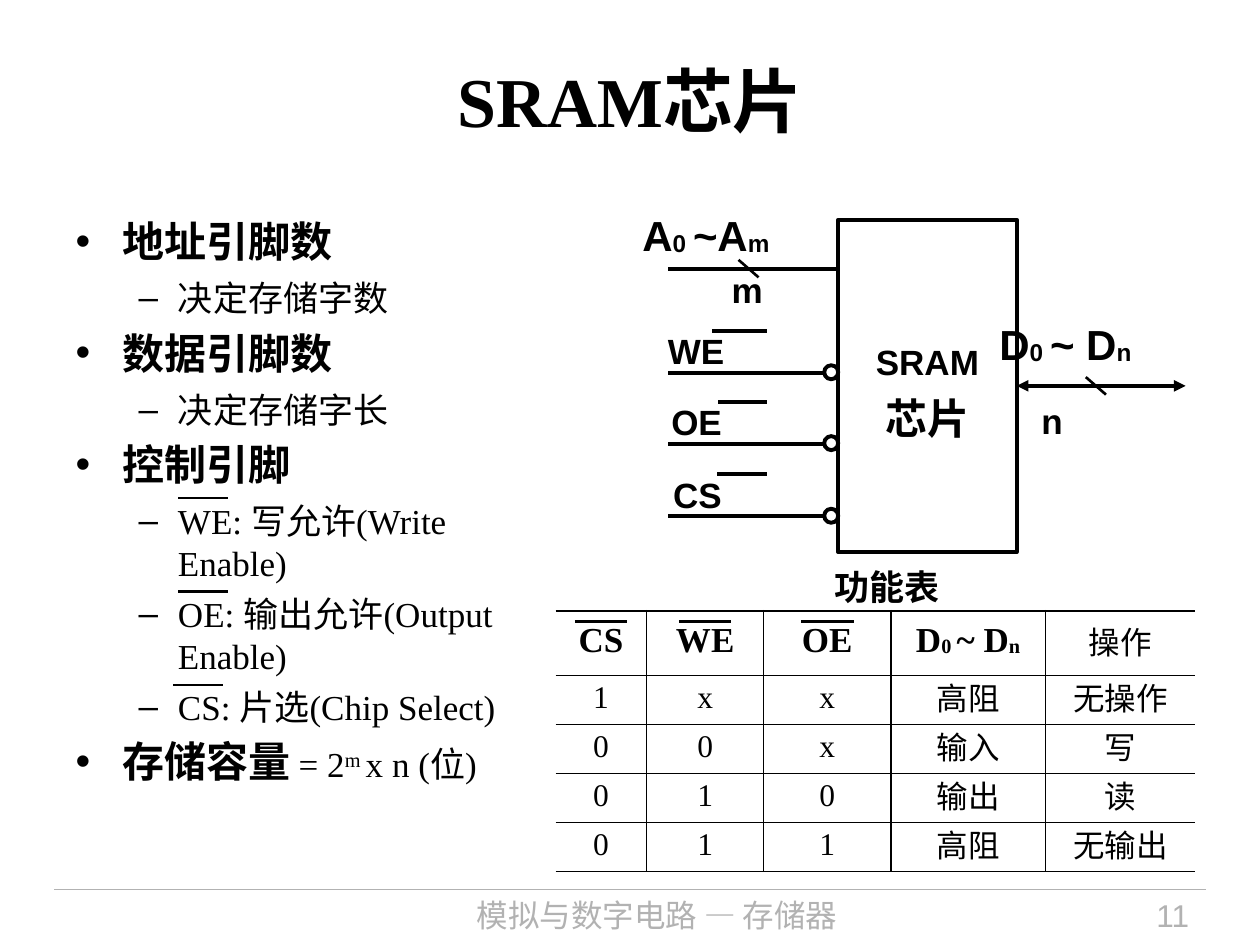
"""Build the SRAM chip slide: pin notes, chip diagram and function table."""
from pptx import Presentation
from pptx.dml.color import RGBColor
from pptx.enum.shapes import MSO_CONNECTOR, MSO_SHAPE
from pptx.enum.text import MSO_ANCHOR, MSO_AUTO_SIZE, PP_ALIGN
from pptx.oxml.xmlchemy import OxmlElement
from pptx.util import Pt

LEFT, CENTER, RIGHT = PP_ALIGN.LEFT, PP_ALIGN.CENTER, PP_ALIGN.RIGHT
MIDDLE = MSO_ANCHOR.MIDDLE
RECT, OVAL = MSO_SHAPE.RECTANGLE, MSO_SHAPE.OVAL
STRAIGHT = MSO_CONNECTOR.STRAIGHT
NO_FIT = MSO_AUTO_SIZE.NONE

THEME = {
    "ink": "000000", "muted": "B2B2B2", "paper": "FFFFFF",
    "serif": "Times New Roman", "sans": "Arial", "cjk": "Noto Sans CJK SC",
    "title": 40, "large": 24, "medium": 20, "small": 18,
    "wire": 2.25, "bar": 1.5, "rule": 0.75, "grid": 0.45, "frame": 1.08,
}
SUB, SUPER = -2000, 30000

TITLE = "SRAM芯片"
NOTES = [
    (0, [("地址引脚数",)]),
    (1, [("决定存储字数",)]),
    (0, [("数据引脚数",)]),
    (1, [("决定存储字长",)]),
    (0, [("控制引脚",)]),
    (1, [("WE: 写允许(Write Enable)",)]),
    (1, [("OE: 输出允许(Output Enable)",)]),
    (1, [("CS: 片选(Chip Select)",)]),
    (0, [("存储容量",), (" = 2", 0, "medium", False),
         ("m ", SUPER, "medium", False), ("x n (位)", 0, "medium", False)]),
]
NOTE_LEVELS = [
    {"bullet": "•", "margin": 27, "hang": 27, "after": 6, "size": "large", "bold": True},
    {"bullet": "–", "margin": 58.5, "hang": 22.5, "after": 5, "size": "medium", "bold": False},
]
NOTE_BARS = [(102, 284.5), (102, 338), (99, 391.5)]

DATA_PINS = [("D",), ("0 ", SUB), ("~ D",), ("n", SUB)]
ADDRESS_PINS = [("A",), ("0 ", SUB), ("~A",), ("m", SUB)]
LABELS = [
    (ADDRESS_PINS, (360, 116, 141, 36), "large", LEFT),
    (DATA_PINS, (564, 178.5, 144, 36), "large", LEFT),
    ([("m",)], (411, 150, 36, 32), "medium", LEFT),
    ([("n",)], (588, 224.5, 81, 32), "medium", LEFT),
    ([("功能表",)], (467, 319.5, 80, 32), "medium", CENTER),
]
CHIP = (479, 125.5, 102, 190)
CHIP_LABEL = (484.5, 191, 91, 66)
CHIP_LINES = [("SRAM", "medium"), ("芯片", "large")]
CONTROL_PINS = [("WE", 213, 374.5, 407), ("OE", 253.5, 376.5, 410.5), ("CS", 295, 377.5, 410)]
WIRE_START, PIN_BAR_END, BUBBLE = 382, 438.5, 8
ADDRESS_Y, DATA_END = 153.5, 677.5

HEADER = [[("CS",)], [("WE",)], [("OE",)], DATA_PINS, [("操作",)]]
ROWS = ["1 x x 高阻 无操作", "0 0 x 输入 写", "0 1 0 输出 读", "0 1 1 高阻 无输出"]
TABLE_LEFT, TABLE_TOP = 317.5, 349
COLUMNS, ROW_HEIGHTS = [52, 67, 72.5, 88.5, 85.5], [37, 28, 28, 28, 28]
COLUMN_EDGES = [None, "grid", "grid", "frame", "frame", None]
ROW_EDGES = ["frame", "frame", "grid", "grid", "grid", "frame"]
HEADER_BAR_WIDTH, HEADER_BAR_Y = 30, 355

FOOTER = [("模拟与数字电路 — 存储器", (173, 508.5, 405, 32), "cjk", CENTER),
          ("11", (590.5, 508.5, 96, 32), "sans", RIGHT)]


def color(name):
    return RGBColor.from_string(THEME[name])


def element(parent, tag, **attributes):
    child = OxmlElement(tag)
    for key, value in attributes.items():
        child.set(key, str(value))
    parent.append(child)
    return child


def add_runs(paragraph, runs, size, bold, face, ink="ink"):
    for text, *options in runs:
        baseline, run_size, run_bold = options + [0, size, bold][len(options):]
        run = paragraph.add_run()
        run.text = text
        font = run.font
        font.size, font.bold, font.name = Pt(THEME[run_size]), run_bold, THEME[face]
        font.color.rgb = color(ink)
        properties = run._r.get_or_add_rPr()
        element(properties, "a:ea", typeface=THEME["cjk"])
        if baseline:
            properties.set("baseline", str(baseline))


def place(shape, box):
    shape.left, shape.top, shape.width, shape.height = map(Pt, box)


def add_label(slide, box, lines, align=LEFT, bold=True, face="sans", ink="ink"):
    frame = slide.shapes.add_textbox(*map(Pt, box)).text_frame
    frame.word_wrap = True
    for index, (runs, size) in enumerate(lines):
        paragraph = frame.add_paragraph() if index else frame.paragraphs[0]
        paragraph.alignment = align
        paragraph.space_before = Pt(6 if index else 0)
        add_runs(paragraph, runs, size, bold, face, ink)


def add_line(slide, start, end, width="wire", ink="ink"):
    line = slide.shapes.add_connector(STRAIGHT, *map(Pt, start + end))
    line.line.color.rgb = color(ink)
    line.line.width = Pt(THEME[width])
    element(line._element.spPr, "a:effectLst")
    return line


def add_outline(slide, kind, box):
    shape = slide.shapes.add_shape(kind, *map(Pt, box))
    shape.shadow.inherit = False
    shape.line.color.rgb = color("ink")
    shape.line.width = Pt(THEME["wire"])
    return shape


def add_slash(slide, x, y):
    add_line(slide, (x - 5.75, y - 5), (x + 5.75, y + 5), "bar")


def add_notes(body):
    place(body, (36, 119.5, 278, 383))
    frame = body.text_frame
    frame.auto_size = NO_FIT
    for index, (depth, runs) in enumerate(NOTES):
        style = NOTE_LEVELS[depth]
        paragraph = frame.add_paragraph() if index else frame.paragraphs[0]
        paragraph.level = depth
        properties = paragraph._p.get_or_add_pPr()
        properties.set("marL", str(Pt(style["margin"])))
        properties.set("indent", str(-Pt(style["hang"])))
        element(element(properties, "a:buClr"), "a:srgbClr", val=THEME["ink"])
        element(properties, "a:buChar", char=style["bullet"])
        paragraph.space_before, paragraph.space_after = Pt(0), Pt(style["after"])
        add_runs(paragraph, runs, style["size"], style["bold"], "serif")


def add_diagram(slide):
    add_label(slide, CHIP_LABEL, [([(text,)], size) for text, size in CHIP_LINES], CENTER)
    chip = add_outline(slide, RECT, CHIP)
    chip.fill.background()
    left, top, width, height = CHIP
    add_line(slide, (WIRE_START, ADDRESS_Y), (left, ADDRESS_Y))
    add_slash(slide, 427.75, ADDRESS_Y)
    data_y = top + height / 2
    data_bus = add_line(slide, (left + width, data_y), (DATA_END, data_y))
    data_bus.begin_connect(chip, 3)
    for tag in ("a:headEnd", "a:tailEnd"):
        element(data_bus.line._get_or_add_ln(), tag, type="triangle")
    add_slash(slide, 626.25, data_y)
    for runs, box, size, align in LABELS:
        add_label(slide, box, [(runs, size)], align)
    for name, y, label_x, bar_x in CONTROL_PINS:
        add_line(slide, (WIRE_START, y), (left, y))
        add_label(slide, (label_x, y - 28.25, 98, 32), [([(name,)], "medium")])
        add_line(slide, (bar_x, y - 24), (PIN_BAR_END, y - 24))
        bubble = add_outline(slide, OVAL, (left - BUBBLE, y - 4.25, BUBBLE, BUBBLE))
        bubble.fill.solid()
        bubble.fill.fore_color.rgb = color("paper")


def set_border(cell, tag, weight):
    properties = cell._tc.get_or_add_tcPr()
    if weight is None:
        element(element(properties, tag, w=0), "a:noFill")
        return
    border = element(properties, tag, w=Pt(THEME[weight]))
    element(element(border, "a:solidFill"), "a:srgbClr", val=THEME["ink"])


def add_function_table(slide):
    grid = [HEADER] + [[[(text,)] for text in row.split()] for row in ROWS]
    box = (TABLE_LEFT, TABLE_TOP, sum(COLUMNS), sum(ROW_HEIGHTS))
    table = slide.shapes.add_table(len(grid), len(COLUMNS), *map(Pt, box)).table
    table.first_row = table.horz_banding = False
    for column, width in zip(table.columns, COLUMNS):
        column.width = Pt(width)
    for r, cells in enumerate(grid):
        table.rows[r].height = Pt(ROW_HEIGHTS[r])
        for c, runs in enumerate(cells):
            pin_heading = r == 0 and c < len(COLUMNS) - 1
            cell = table.cell(r, c)
            edges = (COLUMN_EDGES[c], COLUMN_EDGES[c + 1], ROW_EDGES[r], ROW_EDGES[r + 1])
            for tag, weight in zip(("a:lnL", "a:lnR", "a:lnT", "a:lnB"), edges):
                set_border(cell, tag, weight)
            cell.fill.background()
            cell.vertical_anchor = MIDDLE
            paragraph = cell.text_frame.paragraphs[0]
            paragraph.alignment, paragraph.line_spacing = CENTER, 0.8
            paragraph.space_after = Pt(5 if pin_heading else 4.5)
            add_runs(paragraph, runs, "medium" if pin_heading else "small", pin_heading, "serif")
    for c in range(3):
        bar_x = TABLE_LEFT + sum(COLUMNS[:c]) + (COLUMNS[c] - HEADER_BAR_WIDTH) / 2
        add_line(slide, (bar_x, HEADER_BAR_Y), (bar_x + HEADER_BAR_WIDTH, HEADER_BAR_Y), "bar")


def main():
    deck = Presentation()
    deck.slide_width, deck.slide_height = Pt(720), Pt(540)
    slide = deck.slides.add_slide(deck.slide_layouts[1])
    add_line(slide, (31, 508.5), (689, 508.5), "rule", "muted")
    for text, box, face, align in FOOTER:
        add_label(slide, box, [([(text,)], "small")], align, False, face, "muted")
    title, body = slide.placeholders
    place(title, (36, 26.5, 648, 61))
    title.text_frame.auto_size, title.text_frame.vertical_anchor = NO_FIT, MIDDLE
    heading = title.text_frame.paragraphs[0]
    heading.alignment = CENTER
    add_runs(heading, [(TITLE,)], "title", True, "serif")
    add_notes(body)
    for x, y in NOTE_BARS:
        add_line(slide, (x, y), (x + 28.5, y), "bar")
    add_function_table(slide)
    add_diagram(slide)
    deck.save("out.pptx")


if __name__ == "__main__":
    main()
